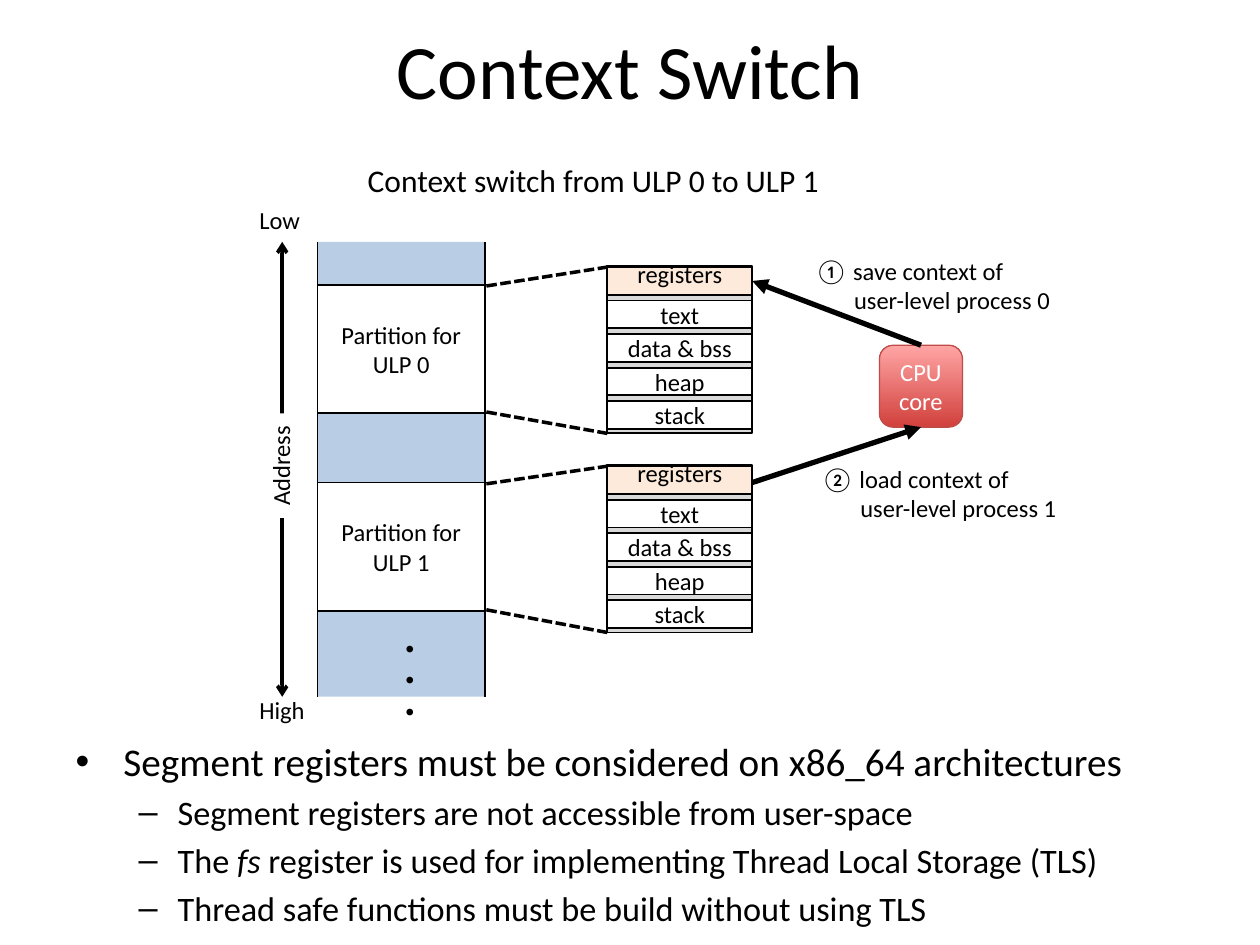
from lxml.etree import SubElement
from pptx import Presentation
from pptx.dml.color import RGBColor
from pptx.enum.dml import MSO_LINE
from pptx.enum.shapes import MSO_CONNECTOR, MSO_SHAPE
from pptx.enum.text import MSO_ANCHOR, MSO_AUTO_SIZE, PP_ALIGN
from pptx.oxml.ns import qn
from pptx.util import Inches, Pt

# The slide is a grid of 100 columns by 75 rows of square cells
COLS, ROWS = 100, 75
CELL = Inches(10) / COLS
FONT = "Calibri"
BLACK, WHITE, BLUE, GREY, PEACH = "000000", "FFFFFF", "B9CDE5", "D9D9D9", "FDEADA"
PARTS = ["text", "data & bss", "heap", "stack"]


def grid(*nums):
    return [round(n * CELL) for n in nums]


def color(code):
    return RGBColor.from_string(code)


def style(obj, form):
    for name, value in form.items():
        setattr(obj, name, value)


def place(shape, box):
    style(shape, dict(zip(("left", "top", "width", "height"), grid(*box))))


def write(frame, lines, size=14, ink=BLACK, align=PP_ALIGN.CENTER):
    """Fill a frame, one paragraph for each line."""
    for i, line in enumerate(lines):
        para = frame.paragraphs[0] if i == 0 else frame.add_paragraph()
        para.alignment = align
        run = para.add_run()
        run.text = line
        style(run.font, {"name": FONT, "size": Pt(size)})
        run.font.color.rgb = color(ink)


def block(slide, box, fill, lines=(), line=True, anchor=MSO_ANCHOR.MIDDLE):
    shape = slide.shapes.add_shape(MSO_SHAPE.RECTANGLE, *grid(*box))
    shape.shadow.inherit = False
    shape.fill.solid()
    shape.fill.fore_color.rgb = color(fill)
    if line:
        shape.line.color.rgb = color(BLACK)
        shape.line.width = Pt(1)
    else:
        shape.line.fill.background()
    style(shape.text_frame, {"vertical_anchor": anchor, "word_wrap": True})
    write(shape.text_frame, lines)
    return shape


def label(slide, box, lines, size=14):
    frame = slide.shapes.add_textbox(*grid(*box)).text_frame
    style(frame, {"word_wrap": False, "auto_size": MSO_AUTO_SIZE.NONE})
    write(frame, lines, size, align=PP_ALIGN.LEFT)
    return frame


def link(slide, start, end, width, dash=None, **tips):
    wire = slide.shapes.add_connector(MSO_CONNECTOR.STRAIGHT, *grid(*start, *end))
    wire.line.color.rgb = color(BLACK)
    style(wire.line, {"width": Pt(width), "dash_style": dash})
    props = wire._element.spPr
    for tip in ("headEnd", "tailEnd"):
        if tip in tips:
            SubElement(props.find(qn("a:ln")), qn("a:" + tip), type=tips[tip])
    SubElement(props, qn("a:effectLst"))


def scale(slide, x, top, tall):
    """Address axis from low to high."""
    end = top + tall
    label(slide, (x - 2.8, top - 3.4, 5.2, 3.3), ["Low"])
    label(slide, (x - 2.8, end - 0.6, 5.6, 3.3), ["High"])
    link(slide, (x, top), (x, end), 2, headEnd="arrow", tailEnd="arrow")
    name = block(slide, (x - 4.3, top + 16.1, 8.3, 3.3), WHITE, ["Address"], line=False)
    name.rotation = 270
    name.text_frame.word_wrap = False


def memory(slide, left, top, wide, tall):
    """Address space: two partitions, then more of them."""
    block(slide, (left, top, wide, tall), BLUE, line=False)
    for i in range(2):
        block(slide, (left, top + 3.4 + 15.7 * i, wide, 10.2), WHITE,
              ["Partition for", f"ULP {i}"])
    for x in (left, left + wide):
        link(slide, (x, top), (x, top + tall), 1)
    dots = label(slide, (left + 4.5, top + 30.1, 4.8, 4.5), ["・・・"], 18)
    dots._txBody.bodyPr.set("vert", "eaVert")


def layout(slide, left, top, wide, tall, edge, first):
    """Contents of one partition, zoomed out from its edge."""
    step, high = tall / 5, 2.2
    block(slide, (left, top, wide, tall), GREY)
    for i, part in enumerate(PARTS, 1):
        block(slide, (left, top + 0.1 + step * i, wide, high), WHITE, [part])
    block(slide, (left, top + 0.1, wide, high), PEACH, ["registers"],
          anchor=MSO_ANCHOR.BOTTOM)
    for y, end in ((first, top + 0.1), (first + 10, top + tall)):
        link(slide, (edge, y), (left, end), 2, MSO_LINE.SQUARE_DOT)


def core(slide, left, top, wide, tall, port):
    """CPU core, with the steps of the switch."""
    chip = slide.shapes.add_shape(MSO_SHAPE.ROUNDED_RECTANGLE,
                                  *grid(left, top, wide, tall))
    chip.shadow.inherit = False
    chip.fill.gradient()
    chip.fill.gradient_angle = 90
    for stop, (spot, tone) in zip(chip.fill.gradient_stops,
                                  ((0, "D1403C"), (1, "FFA6A5"))):
        stop.position = spot
        stop.color.rgb = color(tone)
    chip.line.color.rgb = color("BF4C48")
    chip.line.width = Pt(0.75)
    style(chip.text_frame, {"word_wrap": True, "vertical_anchor": MSO_ANCHOR.MIDDLE})
    write(chip.text_frame, ["CPU core"], ink=WHITE)

    mid = left + wide / 2
    link(slide, (mid, top), (port, 22.3), 3, tailEnd="triangle")
    link(slide, (port, 38.3), (mid, top + tall), 3, tailEnd="triangle")
    steps = (((63.7, 19.8, 20.9, 5.7), "① save"), ((64.2, 36.3, 20.8, 5.7), "② load"))
    for i, (box, verb) in enumerate(steps):
        frame = label(slide, box, [f"{verb} context of", f"user-level process {i}"])
        frame.paragraphs[1]._p.get_or_add_pPr().set("marL", str(grid(3.1)[0]))


def points(body, box):
    """Bulleted notes; each item is a level and its runs."""
    place(body, box)
    frame = body.text_frame
    frame.auto_size = MSO_AUTO_SIZE.NONE
    items = [
        (0, ["Segment registers must be considered on x86_64 architectures"]),
        (1, ["Segment registers are not accessible from user-space"]),
        (1, ["The ", "fs", " register is used for implementing Thread Local Storage (TLS)"]),
        (1, ["Thread safe functions must be build without using TLS"]),
    ]
    forms = [(22.4, 3.8, -3.8, "•"), (19.6, 8.1, -3.1, "–")]
    for i, (level, runs) in enumerate(items):
        size, left, hang, mark = forms[level]
        para = frame.paragraphs[0] if i == 0 else frame.add_paragraph()
        para.level = level
        props = para._p.get_or_add_pPr()
        for key, value in zip(("marL", "indent"), grid(left, hang)):
            props.set(key, str(value))
        SubElement(props, qn("a:buChar"), char=mark)
        for text in runs:
            run = para.add_run()
            run.text = text
            style(run.font, {"name": FONT, "size": Pt(size), "italic": text == "fs"})
            run.font.color.rgb = color(BLACK)


def main():
    deck = Presentation()
    style(deck, dict(zip(("slide_width", "slide_height"), grid(COLS, ROWS))))
    slide = deck.slides.add_slide(deck.slide_layouts[1])
    title, body = slide.placeholders

    # Headings
    place(title, (5, 1.2, 90, 8.5))
    title.text_frame.vertical_anchor = MSO_ANCHOR.MIDDLE
    write(title.text_frame, ["Context Switch"], 44)
    label(slide, (28.2, 12.3, 38.4, 4), ["Context switch from ULP 0 to ULP 1"], 18)

    # Diagram
    memory(slide, 25.2, 19.2, 13.3, 36.1)
    scale(slide, 22.4, 19.2, 36.1)
    for i in range(2):
        layout(slide, 48.2, 21.1 + 15.8 * i, 11.5, 13.3, 38.6, 22.7 + 15.7 * i)
    core(slide, 69.8, 27.4, 6.6, 6.5, 59.7)

    # Notes
    points(body, (5, 58, 90, 15.5))
    deck.save("out.pptx")


if __name__ == "__main__":
    main()
